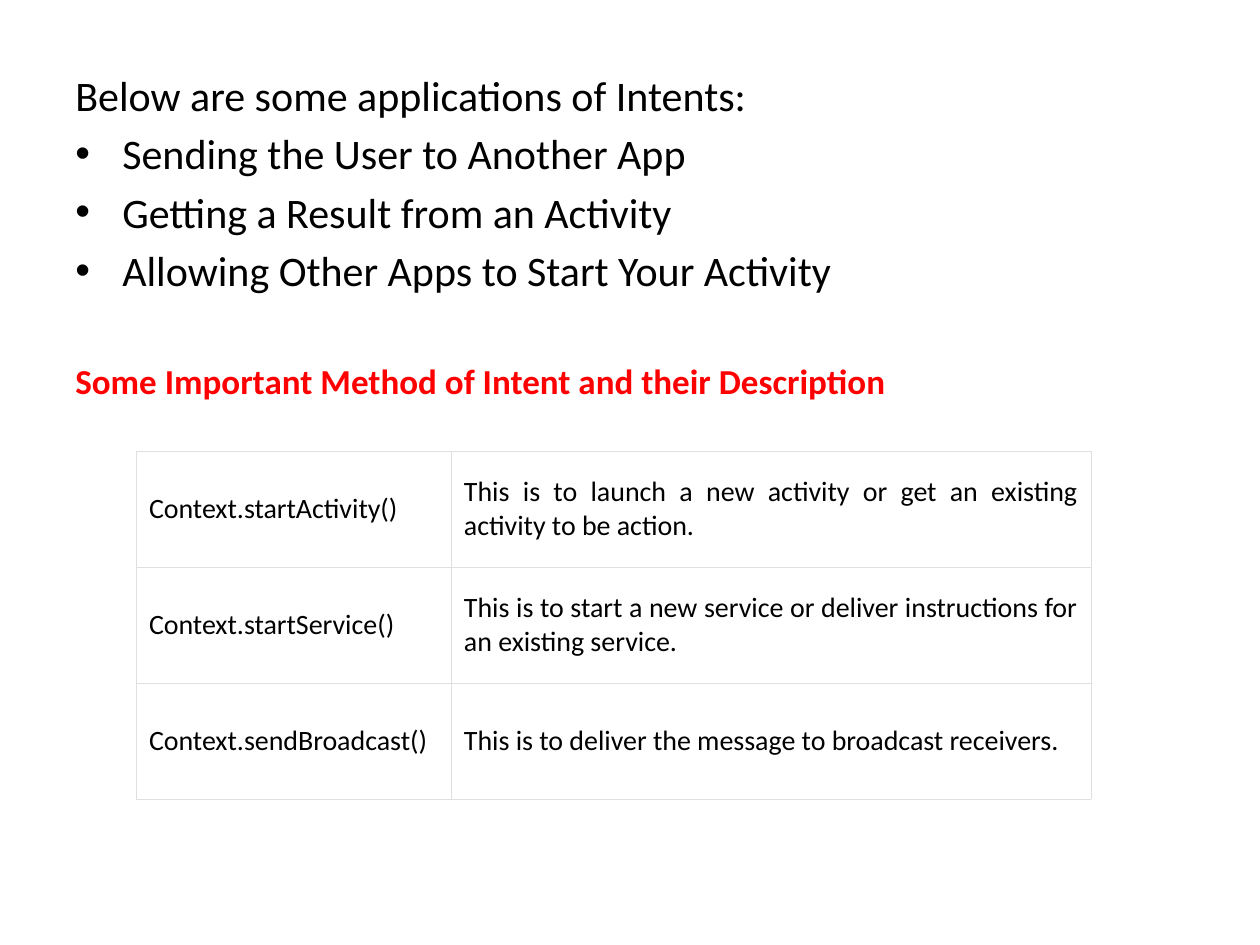
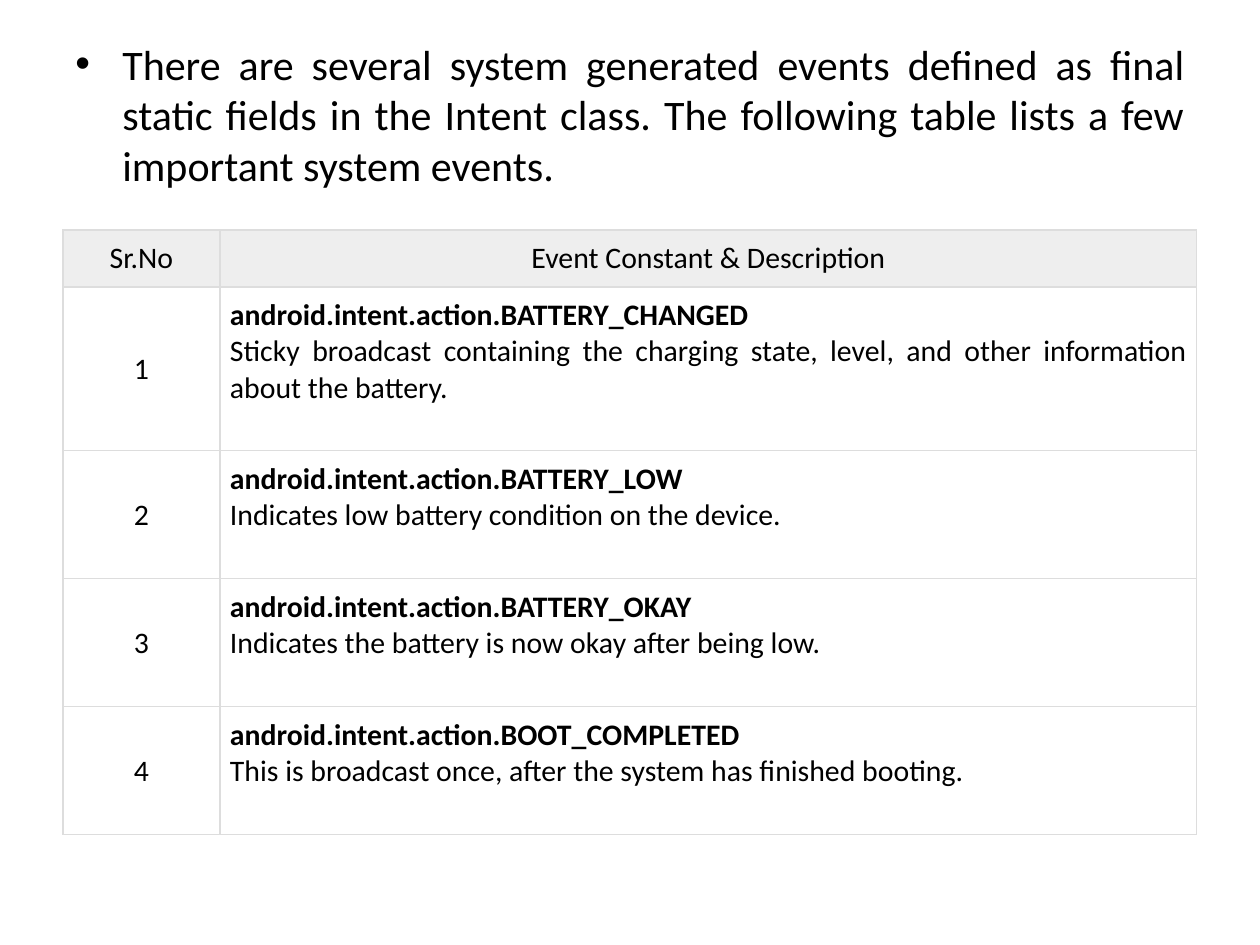
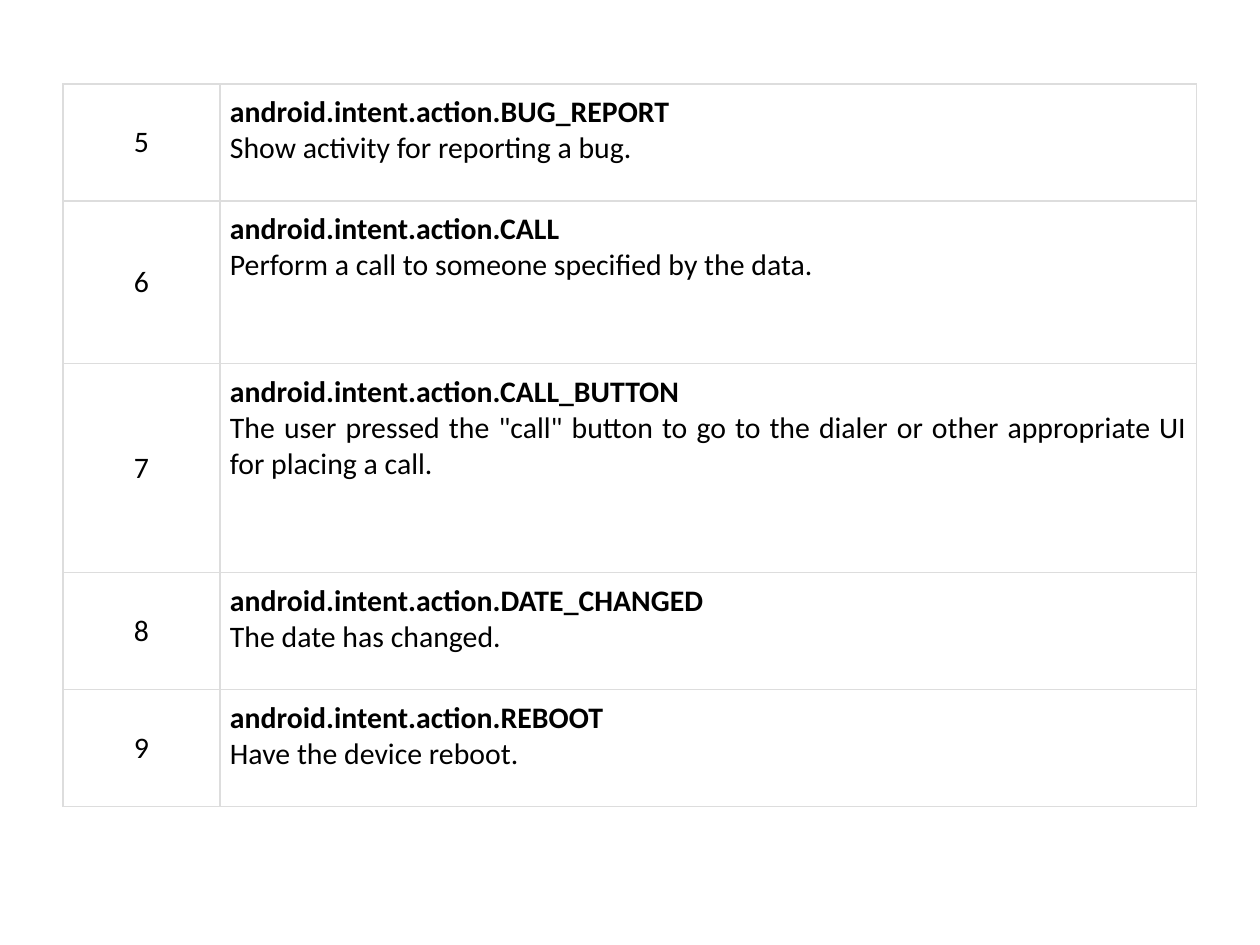
from dataclasses import dataclass

from lxml import etree
from pptx import Presentation, util as u
from pptx.dml.color import RGBColor
from pptx.enum import text
from pptx.oxml import ns

PX = 7257  # EMU in one px, 126 px to the inch
LEFT, CENTER, JUSTIFY = text.PP_ALIGN.LEFT, text.PP_ALIGN.CENTER, text.PP_ALIGN.JUSTIFY


@dataclass(frozen=True)
class Theme:
    font: str = "Calibri"
    ink: str = "000000"
    accent: str = "FF0000"
    paper: str = "FFFFFF"
    header: str = "EEEEEE"
    method_rule: str = "DFDFDF"
    event_rule: str = "DDDDDD"
    body: int = 24
    heading: int = 20
    event: int = 17
    method: int = 16


theme = Theme()


def style(para, size, align=LEFT, bold=False, color=theme.ink):
    para.alignment = align
    for span in para.runs:
        span.font.name = theme.font
        span.font.size = u.Pt(size)
        span.font.bold = bold
        span.font.color.rgb = RGBColor.from_string(color)


def add_grid(page, left, top, columns, heights, rows, rule, rule_width, margins):
    """Add a ruled table without fills and return it."""
    frame = page.shapes.add_table(len(rows), len(columns), left * PX, top * PX,
                                  sum(columns) * PX, sum(heights) * PX)
    grid = frame.table
    grid.first_row = grid.horz_banding = False
    for column, width in zip(grid.columns, columns):
        column.width = width * PX
    for row, height, values in zip(grid.rows, heights, rows):
        row.height = height * PX
        for cell, value in zip(row.cells, values):
            cell.text_frame.text = value
            cell.margin_left = cell.margin_right = margins[0] * PX
            cell.margin_top = cell.margin_bottom = margins[1] * PX
            cell.fill.background()
            props = cell._tc.get_or_add_tcPr()
            for place, side in enumerate(("lnL", "lnR", "lnT", "lnB")):
                line = etree.Element(ns.qn(f"a:{side}"), w=str(u.Pt(rule_width)))
                fill = etree.SubElement(line, ns.qn("a:solidFill"))
                etree.SubElement(fill, ns.qn("a:srgbClr"), val=rule)
                props.insert(place, line)
    return grid


deck = Presentation()
deck.slide_width, deck.slide_height = 1260 * PX, 945 * PX
pages = [deck.slides.add_slide(deck.slide_layouts[6]) for _ in range(3)]

# Body text: (text, bulleted, alignment, size, bold, colour, space before)
plain = (theme.body, False, theme.ink)
applications = [
    ("Below are some applications of Intents:", False, LEFT, *plain, 0),
    ("Sending the User to Another App", True, LEFT, *plain, 4.6),
    ("Getting a Result from an Activity", True, LEFT, *plain, 4.6),
    ("Allowing Other Apps to Start Your Activity", True, LEFT, *plain, 4.6),
    ("Some Important Method of Intent and their Description", False, LEFT,
     theme.heading, True, theme.accent, 37),
]
events_intro = [
    ("There are several system generated events defined as final static fields in the "
     "Intent class. The following table lists a few important system events.",
     True, JUSTIFY, *plain, 0),
]
for page, top, height, lines in ((pages[0], 63, 781, applications),
                                 (pages[1], 32, 813, events_intro)):
    box = page.shapes.add_textbox(63 * PX, top * PX, 1134 * PX, height * PX)
    box.text_frame.word_wrap = True
    box.text_frame.text = "\n".join(line[0] for line in lines)
    for para, (_, bulleted, align, size, bold, color, before) in zip(
            box.text_frame.paragraphs, lines):
        if bulleted:
            props = para._p.get_or_add_pPr()
            props.set("marL", str(47 * PX))
            props.set("indent", str(-47 * PX))
            etree.SubElement(props, ns.qn("a:buFont"), typeface="Arial")
            etree.SubElement(props, ns.qn("a:buChar"), char="•")
        para.space_before = u.Pt(before)
        style(para, size, align, bold, color)

# Table of Intent methods
methods = [
    ("Context.startActivity()",
     "This is to launch a new activity or get an existing activity to be action."),
    ("Context.startService()",
     "This is to start a new service or deliver instructions for an existing service."),
    ("Context.sendBroadcast()", "This is to deliver the message to broadcast receivers."),
]
grid = add_grid(pages[0], 136, 451, (315, 640), [116] * 3, methods,
                theme.method_rule, 0.25, (13, 19))
for row in grid.rows:
    for cell, align in zip(row.cells, (LEFT, JUSTIFY)):
        cell.vertical_anchor = text.MSO_ANCHOR.MIDDLE
        cell.fill.solid()
        cell.fill.fore_color.rgb = RGBColor.from_string(theme.paper)
        style(cell.text_frame.paragraphs[0], theme.method, align)

# Tables of system events, numbered across both pages
events = [
    ("BATTERY_CHANGED", "Sticky broadcast containing the charging state, level, "
                        "and other information about the battery."),
    ("BATTERY_LOW", "Indicates low battery condition on the device."),
    ("BATTERY_OKAY", "Indicates the battery is now okay after being low."),
    ("BOOT_COMPLETED", "This is broadcast once, after the system has finished booting."),
    ("BUG_REPORT", "Show activity for reporting a bug."),
    ("CALL", "Perform a call to someone specified by the data."),
    ("CALL_BUTTON", 'The user pressed the "call" button to go to the dialer '
                    "or other appropriate UI for placing a call."),
    ("DATE_CHANGED", "The date has changed."),
    ("REBOOT", "Have the device reboot."),
]
event_rows = [(str(number), f"android.intent.action.{name}\n{description}")
              for number, (name, description) in enumerate(events, 1)]
header = ("Sr.No", "Event Constant & Description")
for page, top, heights, rows in (
        (pages[1], 230, (57, 164, 128, 128, 128), [header] + event_rows[:4]),
        (pages[2], 84, (117, 163, 209, 117, 117), event_rows[4:])):
    grid = add_grid(page, 63, top, (157, 977), heights, rows,
                    theme.event_rule, 0.75, (10, 10))
    for row, values in zip(grid.rows, rows):
        number_cell, event_cell = row.cells
        if values is header:
            for cell in row.cells:
                cell.fill.solid()
                cell.fill.fore_color.rgb = RGBColor.from_string(theme.header)
                style(cell.text_frame.paragraphs[0], theme.event, CENTER)
        else:
            number_cell.vertical_anchor = text.MSO_ANCHOR.MIDDLE
            style(number_cell.text_frame.paragraphs[0], theme.event, CENTER)
            name, description = event_cell.text_frame.paragraphs
            style(name, theme.event, JUSTIFY, bold=True)
            style(description, theme.event, JUSTIFY)

deck.save("out.pptx")
